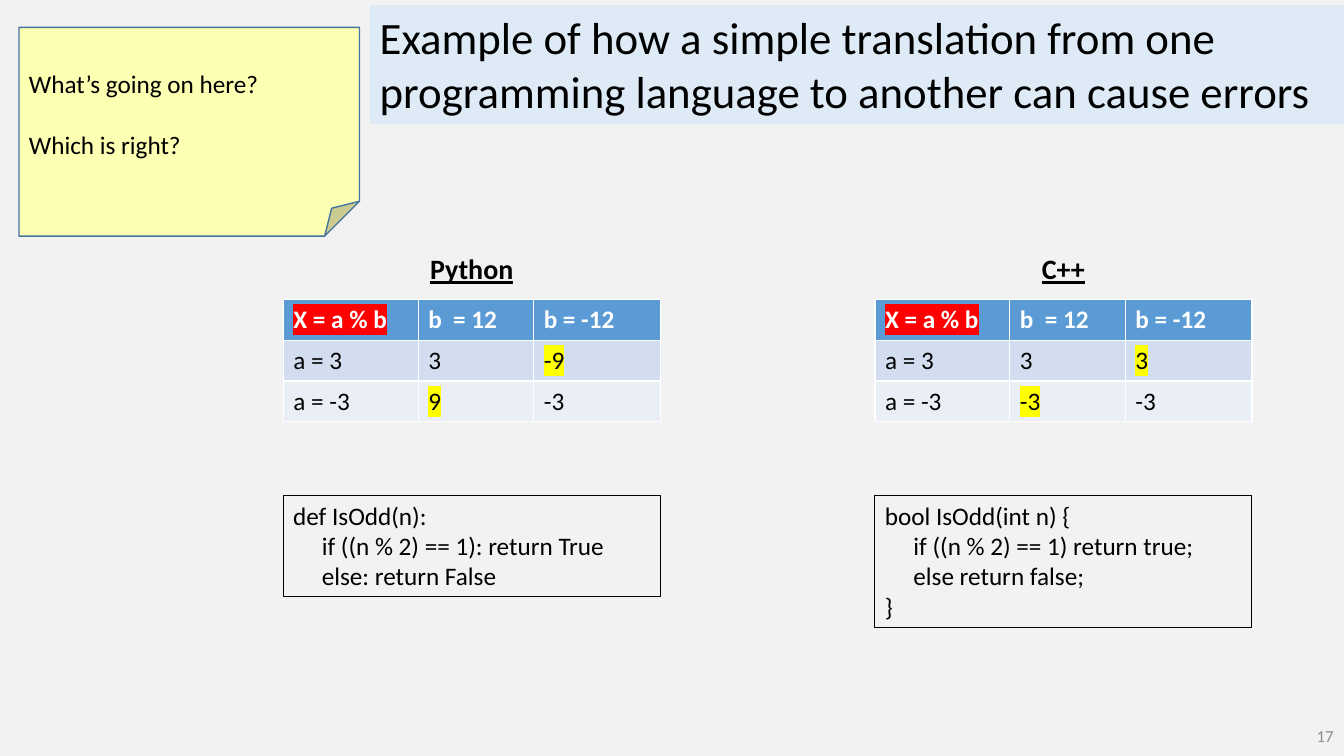
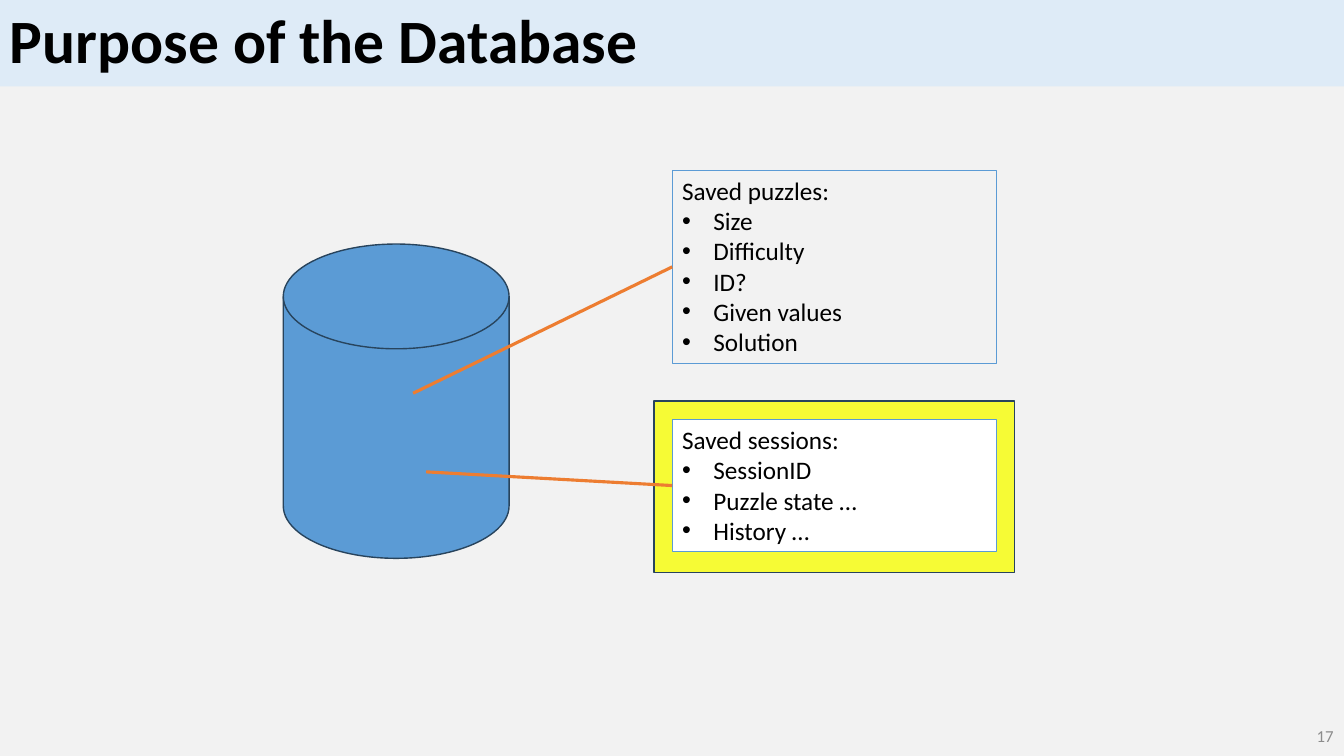
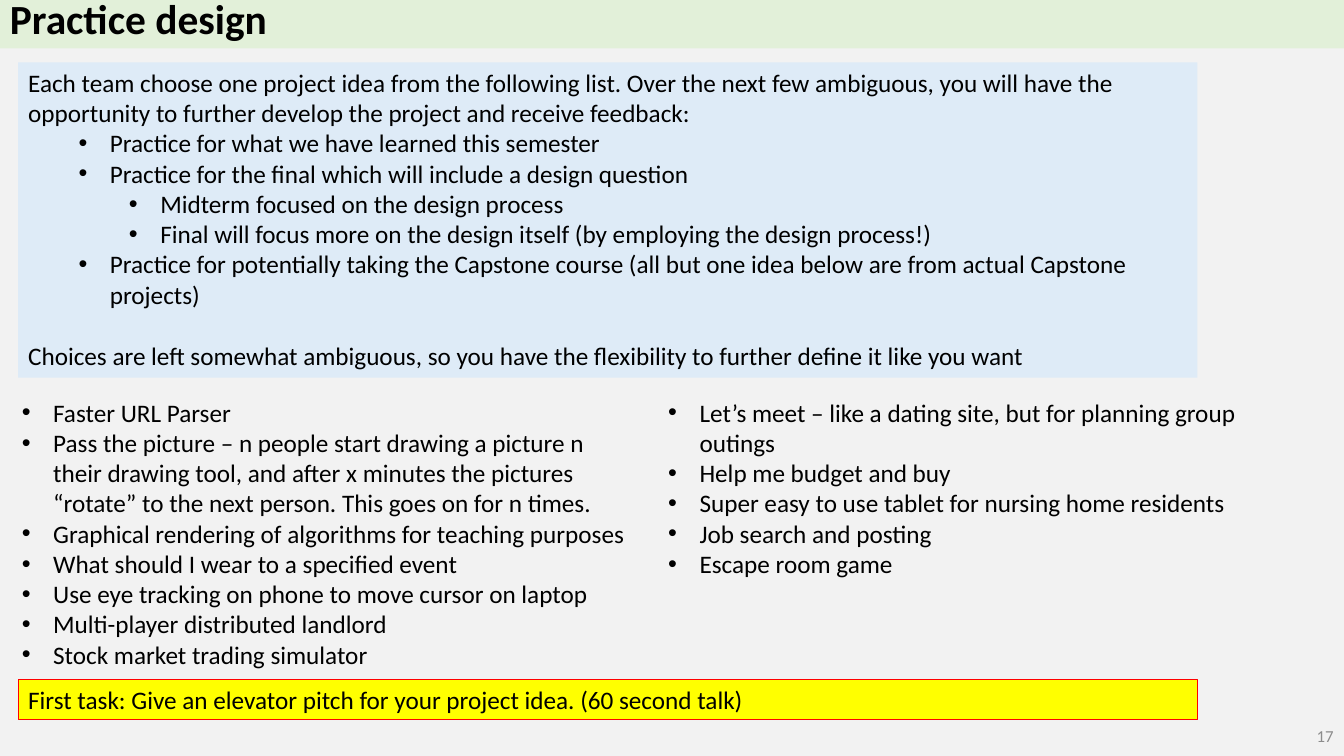
"""Build three course slides: modulo translation, database purpose and design practice."""
from dataclasses import dataclass

from lxml import etree
from pptx import Presentation
from pptx.dml.color import RGBColor
from pptx.enum.shapes import MSO_CONNECTOR, MSO_SHAPE
from pptx.enum.text import MSO_ANCHOR, PP_ALIGN
from pptx.oxml.ns import qn
from pptx.util import Cm, Pt

RECT, NOTE, DISK = MSO_SHAPE.RECTANGLE, MSO_SHAPE.FOLDED_CORNER, MSO_SHAPE.FLOWCHART_MAGNETIC_DISK
STRAIGHT = MSO_CONNECTOR.STRAIGHT
TOP, MIDDLE = MSO_ANCHOR.TOP, MSO_ANCHOR.MIDDLE
LEFT, CENTER, RIGHT = PP_ALIGN.LEFT, PP_ALIGN.CENTER, PP_ALIGN.RIGHT
LEFT_SITE = 1


@dataclass(frozen=True)
class Theme:
    """Shared colours, type sizes and lengths (points for type, centimetres for lengths)."""
    font: str = "Calibri"
    page: str = "F2F2F2"
    ink: str = "000000"
    white: str = "FFFFFF"
    muted: str = "8C8C8C"
    band: str = "DEEBF7"
    band_green: str = "E2F0D9"
    note: str = "FDFFB3"
    note_edge: str = "43739E"
    blue: str = "5B9BD5"
    blue_edge: str = "28445D"
    row_tints: tuple = ("D2DEEF", "EAEFF7")
    orange: str = "ED7D31"
    lemon: str = "F6FB35"
    yellow: str = "FFFF00"
    red: str = "FF0000"
    body: float = 18
    label: float = 20
    number: float = 12
    statement: float = 32
    title: float = 44
    title_small: float = 29.6
    blank_line: float = 22
    thin: float = 0.75
    width: float = 33.87
    height: float = 19.05
    line_height: float = 0.77
    padding: float = 0.25
    hang: float = 0.79
    level: float = 1.27
    code_indent: float = 0.72


THEME = Theme()


@dataclass(frozen=True)
class Line:
    """One paragraph with its indent, bullet and space before."""
    text: str
    left: float = 0
    bullet: bool = False
    gap: float = 0


def bullet(text, level=0):
    """Return a bulleted line at an outline level."""
    return Line(text, THEME.hang + level * THEME.level, True)


def code(text):
    """Return an indented line of code."""
    return Line(text, THEME.code_indent)


PAGE_NUMBER = "17"

STATEMENT = ("Example of how a simple translation from one programming language "
             "to another can cause errors")
QUESTIONS = [Line("What’s going on here?"), Line("Which is right?", gap=THEME.blank_line)]
HEADER = ["X = a % b", "b  = 12", "b = -12"]
ROW_NAMES = ["a = 3", "a = -3"]
LANGUAGES = [
    {"name": "Python", "left": 7.14, "results": [["3", "-9"], ["9", "-3"]],
     "code": [Line("def IsOdd(n):"), code("if ((n % 2) == 1): return True"),
              code("else: return False")]},
    {"name": "C++", "left": 22.05, "results": [["3", "3"], ["-3", "-3"]],
     "code": [Line("bool IsOdd(int n) {"), code("if ((n % 2) == 1) return true;"),
              code("else return false;"), Line("}")]},
]
COLUMN_WIDTHS = [3.4, 2.91, 3.19]
ROW_HEIGHT = 1.03

STORES = [
    {"heading": "Saved puzzles:", "top": 4.29, "fill": None, "link": (10.41, 9.91),
     "fields": ["Size", "Difficulty", "ID?", "Given values", "Solution"]},
    {"heading": "Saved sessions:", "top": 10.57, "fill": THEME.white, "link": (10.74, 11.89),
     "fields": ["SessionID", "Puzzle state …", "History …"]},
]

BRIEF = [
    Line("Each team choose one project idea from the following list. Over the next few ambiguous, "
         "you will have the opportunity to further develop the project and receive feedback:"),
    bullet("Practice for what we have learned this semester", 1),
    bullet("Practice for the final which will include a design question", 1),
    bullet("Midterm focused on the design process", 2),
    bullet("Final will focus more on the design itself (by employing the design process!)", 2),
    bullet("Practice for potentially taking the Capstone course (all but one idea below are from "
           "actual Capstone projects)", 1),
    Line("Choices are left somewhat ambiguous, so you have the flexibility to further define it "
         "like you want", gap=THEME.blank_line),
]
IDEAS = [
    ["Faster URL Parser",
     "Pass the picture – n people start drawing a picture n their drawing tool, and after "
     "x minutes the pictures “rotate” to the next person. This goes on for n times.",
     "Graphical rendering of algorithms for teaching purposes",
     "What should I wear to a specified event",
     "Use eye tracking on phone to move cursor on laptop",
     "Multi-player distributed landlord",
     "Stock market trading simulator"],
    ["Let’s meet – like a dating site, but for planning group outings",
     "Help me budget and buy",
     "Super easy to use tablet for nursing home residents",
     "Job search and posting",
     "Escape room game"],
]
TASK = "First task: Give an elevator pitch for your project idea. (60 second talk)"


def rgb(value):
    """Return a colour object for a hex string."""
    return RGBColor.from_string(value)


def text_height(count):
    """Return the height of a box that holds a number of body lines."""
    return count * THEME.line_height + THEME.padding


def set_font(font, size, color=THEME.ink, bold=False, underline=False):
    """Apply the shared typeface with a size, colour and emphasis."""
    font.name, font.size, font.bold, font.underline = THEME.font, Pt(size), bold, underline
    font.color.rgb = rgb(color)


def write(shape, lines, size=THEME.body, anchor=TOP, align=LEFT, spacing=None, **style):
    """Fill a shape with paragraphs."""
    frame = shape.text_frame
    frame.word_wrap, frame.vertical_anchor = True, anchor
    for index, line in enumerate(lines):
        para = frame.add_paragraph() if index else frame.paragraphs[0]
        para.text, para.alignment = line.text, align
        if spacing:
            para.line_spacing = spacing
        if line.gap:
            para.space_before = Pt(line.gap)
        properties = para._p.get_or_add_pPr()
        if line.left:
            properties.set("marL", str(Cm(line.left)))
        if line.bullet:
            properties.set("indent", str(-Cm(THEME.hang)))
            etree.SubElement(properties, qn("a:buFont")).set("typeface", "Arial")
            etree.SubElement(properties, qn("a:buChar")).set("char", "•")
        set_font(para.font, size, **style)


def add_box(page, place, kind=RECT, fill=None, edge=None, weight=THEME.thin):
    """Add a flat preset shape at left, top, width, height."""
    box = page.shapes.add_shape(kind, *map(Cm, place))
    box.shadow.inherit = False
    if fill:
        box.fill.solid()
        box.fill.fore_color.rgb = rgb(fill)
    else:
        box.fill.background()
    if edge:
        box.line.color.rgb = rgb(edge)
        box.line.width = Pt(weight)
    else:
        box.line.fill.background()
    return box


def add_text(page, place, lines, **style):
    """Add a plain text box."""
    write(page.shapes.add_textbox(*map(Cm, place)), lines, **style)


def add_title(page, text, height, fill, size, spacing):
    """Add the title band across the top."""
    band = add_box(page, (0, 0, THEME.width, height), fill=fill)
    write(band, [Line(text)], size, MIDDLE, spacing=spacing, bold=True)


def add_page(deck):
    """Add a blank page with its number."""
    page = deck.slides.add_slide(deck.slide_layouts[6])
    add_text(page, (26.24, 18.03, 7.62, 1.02), [Line(PAGE_NUMBER)], size=THEME.number,
             anchor=MIDDLE, align=RIGHT, color=THEME.muted)
    return page


def highlight(cell, color):
    """Mark the text of a cell with a background colour."""
    properties = cell.text_frame.paragraphs[0].runs[0]._r.get_or_add_rPr()
    mark = etree.SubElement(properties, qn("a:highlight"))
    etree.SubElement(mark, qn("a:srgbClr")).set("val", color)


def add_results(page, left, results):
    """Add a remainder table and mark the results on which the languages differ."""
    rows = [HEADER] + [[name, *values] for name, values in zip(ROW_NAMES, results)]
    place = (left, 7.54, sum(COLUMN_WIDTHS), ROW_HEIGHT * len(rows))
    table = page.shapes.add_table(len(rows), len(HEADER), *map(Cm, place)).table
    table.horz_banding = False
    for column, width in zip(table.columns, COLUMN_WIDTHS):
        column.width = Cm(width)
    for r, values in enumerate(rows):
        table.rows[r].height = Cm(ROW_HEIGHT)
        for c, value in enumerate(values):
            cell = table.cell(r, c)
            cell.fill.solid()
            cell.fill.fore_color.rgb = rgb(THEME.row_tints[r - 1] if r else THEME.blue)
            write(cell, [Line(value)], color=THEME.ink if r else THEME.white, bold=not r)
            if r and c and len({item["results"][r - 1][c - 1] for item in LANGUAGES}) > 1:
                highlight(cell, THEME.yellow)
    highlight(table.cell(0, 0), THEME.red)


def build_translation(deck):
    """Compare the remainder operator in two languages."""
    page = add_page(deck)
    note = add_box(page, (0.48, 0.69, 8.58, 5.26), NOTE, THEME.note, THEME.note_edge, 1)
    write(note, QUESTIONS, anchor=MIDDLE)
    width = sum(COLUMN_WIDTHS)
    for language in LANGUAGES:
        left = language["left"]
        add_text(page, (left, 6.22, width, 1.12), [Line(language["name"])], size=THEME.label,
                 align=CENTER, bold=True, underline=True)
        add_results(page, left, language["results"])
        listing = add_box(page, (left, 12.48, width, text_height(len(language["code"]))),
                          edge=THEME.ink)
        write(listing, language["code"])
    banner_left = 9.32
    banner = add_box(page, (banner_left, 0.13, THEME.width - banner_left, 3), fill=THEME.band)
    write(banner, [Line(STATEMENT)], THEME.statement)


def build_database(deck):
    """Show what the database stores."""
    page = add_page(deck)
    add_title(page, "Purpose of the Database", 2.18, THEME.band, THEME.title, 0.9)
    add_box(page, (16.48, 10.11, 9.09, 4.32), RECT, THEME.lemon, THEME.blue_edge, 1)
    add_box(page, (7.14, 6.15, 5.69, 7.92), DISK, THEME.blue, THEME.blue_edge, 1)
    for store in STORES:
        lines = [Line(store["heading"])] + [bullet(field) for field in store["fields"]]
        box = add_box(page, (16.94, store["top"], 8.18, text_height(len(lines))),
                      fill=store["fill"], edge=THEME.blue)
        write(box, lines)
        start = [Cm(value) for value in store["link"]]
        link = page.shapes.add_connector(STRAIGHT, *start, *start)
        link.end_connect(box, LEFT_SITE)
        link.line.color.rgb = rgb(THEME.orange)
        link.line.width = Pt(2.25)
        etree.SubElement(link._element.spPr, qn("a:effectLst"))


def build_practice(deck):
    """List the project ideas and the first task."""
    page = add_page(deck)
    add_title(page, "Practice design", 1.22, THEME.band_green, THEME.title_small, 0.7)
    left, width = 0.46, 29.72
    write(add_box(page, (left, 1.57, width, text_height(10)), fill=THEME.band), BRIEF)
    for column, ideas in enumerate(IDEAS):
        add_text(page, (0.3 + column * 16.29, 9.88, 15.75, text_height(10 - 4 * column)),
                 [bullet(idea) for idea in ideas])
    task = add_box(page, (left, 17.12, width, text_height(1)), fill=THEME.yellow, edge=THEME.red)
    write(task, [Line(TASK)])


def main():
    """Build and save the deck."""
    deck = Presentation()
    deck.slide_width, deck.slide_height = Cm(THEME.width), Cm(THEME.height)
    backdrop = deck.slide_master.background.fill
    backdrop.solid()
    backdrop.fore_color.rgb = rgb(THEME.page)
    for build in (build_translation, build_database, build_practice):
        build(deck)
    deck.save("out.pptx")


if __name__ == "__main__":
    main()
